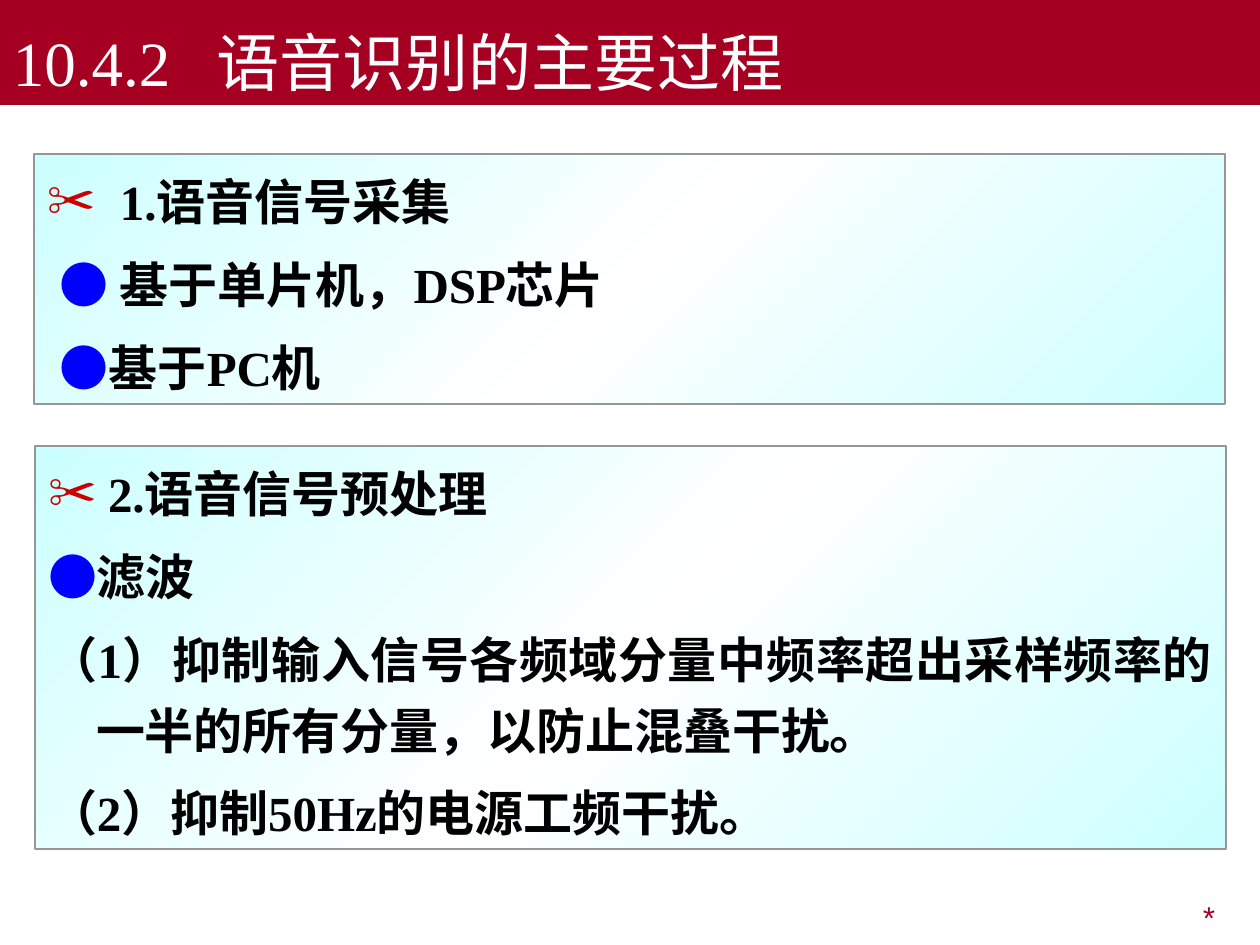
"""Build the slide on the main steps of speech recognition."""
from copy import deepcopy

from lxml import etree
from pptx import Presentation
from pptx.dml.color import RGBColor
from pptx.enum.shapes import MSO_SHAPE
from pptx.enum.text import MSO_ANCHOR, MSO_AUTO_SIZE, PP_ALIGN
from pptx.oxml.ns import qn
from pptx.util import Emu, Pt

RECTANGLE = MSO_SHAPE.RECTANGLE
TOP, BOTTOM = MSO_ANCHOR.TOP, MSO_ANCHOR.BOTTOM
NO_AUTOFIT = MSO_AUTO_SIZE.NONE
LEFT, RIGHT, JUSTIFY = PP_ALIGN.LEFT, PP_ALIGN.RIGHT, PP_ALIGN.JUSTIFY

CRIMSON = RGBColor(0xA5, 0x00, 0x21)
WHITE = RGBColor(0xFF, 0xFF, 0xFF)
BLACK = RGBColor(0x00, 0x00, 0x00)
BLUE = RGBColor(0x00, 0x00, 0xFF)
RED = RGBColor(0xCC, 0x00, 0x00)
PALE_CYAN = RGBColor(0xCC, 0xFF, 0xFF)
GREY = RGBColor(0x96, 0x96, 0x96)

SERIF, SANS = "Times New Roman", "Arial"
EMU_PER_PX = 914400 / 126
DOT = "●"

COLLECTION = [
    ("1.语音信号采集", 73, -73, "✂"),
    ("● 基于单片机，DSP芯片", 13, 0, None),
    ("●基于PC机", 13, 0, None),
]
PREPROCESSING = [
    ("2.语音信号预处理", 60, -60, "✂"),
    ("●滤波", 48, -48, None),
    ("（1）抑制输入信号各频域分量中频率超出采样频率的一半的所有分量，以防止混叠干扰。", 48, -48, None),
    ("（2）抑制50Hz的电源工频干扰。", 48, -48, None),
]


def px(length):
    """Turn pixels into EMU."""
    return Emu(round(length * EMU_PER_PX))


def style_font(font, name, size, color, bold=False):
    """Set face, size, colour and weight of a font."""
    font.name, font.size, font.bold = name, Pt(size), bold
    font.color.rgb = color


def set_frame(frame, anchor):
    """Give a text frame its wrap, anchor and insets."""
    frame.word_wrap = True
    frame.auto_size = NO_AUTOFIT
    frame.vertical_anchor = anchor
    frame.margin_left = frame.margin_right = px(13)
    frame.margin_top = frame.margin_bottom = px(6)


def add_tab(paragraph, position):
    """Add a left tab stop to a paragraph."""
    tabs = etree.SubElement(paragraph._p.get_or_add_pPr(), qn("a:tabLst"))
    etree.SubElement(tabs, qn("a:tab"), pos=str(px(position)), algn="l")


def set_bullet(paragraph, left, indent, symbol):
    """Set the indents of a paragraph and its bullet, if any."""
    properties = paragraph._p.get_or_add_pPr()
    properties.set("marL", str(px(left)))
    properties.set("indent", str(px(indent)))
    if symbol is None:
        etree.SubElement(properties, qn("a:buNone"))
        return
    color = etree.SubElement(properties, qn("a:buClr"))
    etree.SubElement(color, qn("a:srgbClr"), val=str(RED))
    etree.SubElement(properties, qn("a:buFont"), typeface=SERIF)
    etree.SubElement(properties, qn("a:buChar"), char=symbol)


def fill_gradient(shape):
    """Fill a shape diagonally from pale cyan over white to pale cyan."""
    shape.fill.gradient()
    shape.fill.gradient_angle = 315
    stop_list = shape._element.spPr.find(".//" + qn("a:gsLst"))
    stop_list.append(deepcopy(stop_list[0]))
    colors = (PALE_CYAN, WHITE, PALE_CYAN)
    for index, (stop, color) in enumerate(zip(shape.fill.gradient_stops, colors)):
        stop.position = index / 2
        stop.color.rgb = color


def add_title(slide, text):
    """Place the title band at the top of the slide."""
    title = slide.shapes.title
    title.left, title.top, title.width, title.height = px(0), px(0), px(1260), px(105)
    title.fill.solid()
    title.fill.fore_color.rgb = CRIMSON
    title.text_frame.text = text
    set_frame(title.text_frame, BOTTOM)
    heading = title.text_frame.paragraphs[0]
    heading.alignment = LEFT
    add_tab(heading, 204)
    style_font(heading.runs[0].font, SERIF, 36, WHITE)


def add_item(paragraph, text):
    """Write one item, with its leading dot in blue."""
    parts = [(DOT, BLUE), (text[1:], BLACK)] if text.startswith(DOT) else [(text, BLACK)]
    for part, color in parts:
        run = paragraph.add_run()
        run.text = part
        style_font(run.font, SERIF, 28, color, bold=True)


def add_panel(slide, left, top, height, items):
    """Add a shaded panel that lists the points of one step."""
    panel = slide.shapes.add_shape(RECTANGLE, px(left), px(top), px(1191), px(height))
    panel.shadow.inherit = False
    fill_gradient(panel)
    panel.line.color.rgb = GREY
    panel.line.width = Pt(0.75)
    frame = panel.text_frame
    set_frame(frame, TOP)
    for index, (text, margin, indent, symbol) in enumerate(items):
        item = frame.add_paragraph() if index else frame.paragraphs[0]
        set_bullet(item, margin, indent, symbol)
        item.alignment = JUSTIFY
        item.line_spacing = 1.2
        item.space_before = Pt(7 if index else 0)
        add_item(item, text)


def add_footer_mark(slide, text):
    """Add the mark at the lower right."""
    mark = slide.shapes.add_textbox(px(955), px(892), px(273), px(49))
    set_frame(mark.text_frame, TOP)
    mark.text_frame.text = text
    paragraph = mark.text_frame.paragraphs[0]
    paragraph.alignment = RIGHT
    style_font(paragraph.runs[0].font, SANS, 18, CRIMSON)


def main():
    """Build and save the slide."""
    deck = Presentation()
    deck.slide_width, deck.slide_height = px(1260), px(945)
    slide = deck.slides.add_slide(deck.slide_layouts[5])
    add_title(slide, "10.4.2\t语音识别的主要过程")
    add_panel(slide, 34, 154, 250, COLLECTION)
    add_panel(slide, 35, 446, 403, PREPROCESSING)
    add_footer_mark(slide, "*")
    deck.save("out.pptx")


if __name__ == "__main__":
    main()
